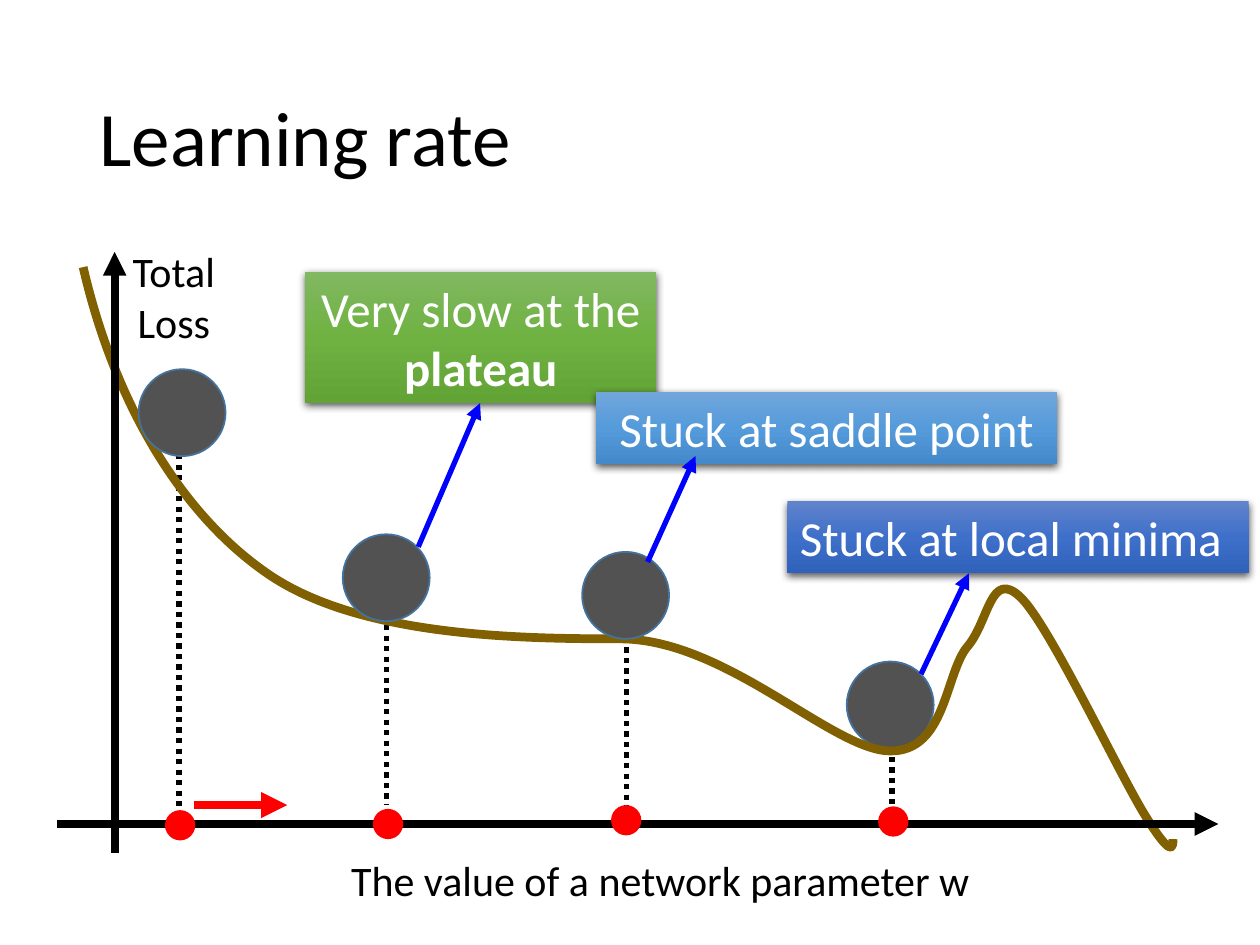
from lxml import etree
from copy import deepcopy
from pptx import Presentation
from pptx.dml.color import RGBColor
from pptx.enum.dml import MSO_LINE
from pptx.enum.shapes import MSO_CONNECTOR, MSO_SHAPE
from pptx.enum.text import MSO_ANCHOR, PP_ALIGN
from pptx.oxml import parse_xml
from pptx.oxml.ns import nsdecls, qn
from pptx.util import Inches, Pt

BLACK = RGBColor(0x00, 0x00, 0x00)
WHITE = RGBColor(0xFF, 0xFF, 0xFF)
RED = RGBColor(0xFF, 0x00, 0x00)
BLUE = RGBColor(0x00, 0x00, 0xFF)
BROWN = RGBColor(0x80, 0x60, 0x00)
GRAY = RGBColor(0x52, 0x52, 0x52)
BALL_EDGE = RGBColor(0x43, 0x73, 0x9E)
GREENS = [RGBColor(0x81, 0xB8, 0x61), RGBColor(0x6F, 0xB2, 0x42), RGBColor(0x62, 0xA3, 0x36)]
NAVYS = [RGBColor(0x61, 0x83, 0xCB), RGBColor(0x3E, 0x70, 0xCA), RGBColor(0x30, 0x62, 0xBB)]
SKIES = [RGBColor(0x71, 0xA6, 0xDB), RGBColor(0x55, 0x9B, 0xDB), RGBColor(0x44, 0x8A, 0xCA)]
FONT = "Calibri"

prs = Presentation()
prs.slide_width, prs.slide_height = Inches(10), Inches(7.5)
s = prs.slides.add_slide(prs.slide_layouts[5])


def add_line(x1, y1, x2, y2, color, width, arrow=True):
    """Straight arrow, or a dotted line when arrow is False."""
    c = s.shapes.add_connector(MSO_CONNECTOR.STRAIGHT, Inches(x1), Inches(y1), Inches(x2), Inches(y2))
    c.line.color.rgb = color
    c.line.width = Pt(width)
    if arrow:
        ln = c._element.spPr.find(qn("a:ln"))
        etree.SubElement(ln, qn("a:tailEnd"), type="triangle")
    else:
        c.line.dash_style = MSO_LINE.ROUND_DOT
    etree.SubElement(c._element.spPr, qn("a:effectLst"))


def add_circle(x, y, size, color, edge=None):
    sp = s.shapes.add_shape(MSO_SHAPE.OVAL, Inches(x), Inches(y), Inches(size), Inches(size))
    sp.shadow.inherit = False
    sp.fill.solid()
    sp.fill.fore_color.rgb = color
    if edge:
        sp.line.color.rgb = edge
        sp.line.width = Pt(1)
    else:
        sp.line.fill.background()


# Title
title = s.shapes.title
title.left, title.top, title.width, title.height = Inches(0.69), Inches(0.4), Inches(8.62), Inches(1.45)
title.text_frame.text = "Learning rate"
title.text_frame.vertical_anchor = MSO_ANCHOR.MIDDLE
p = title.text_frame.paragraphs[0]
p.alignment = PP_ALIGN.LEFT
p.line_spacing = 0.9
p.font.size, p.font.name, p.font.color.rgb = Pt(44), FONT, BLACK

# Dotted drop lines, and the ball that lies behind the curve
for x, top, bottom in [(7.08, 5.59, 6.39), (4.97, 4.47, 6.4), (3.07, 4.46, 6.39), (1.42, 3.27, 6.42)]:
    add_line(x, top, x, bottom, BLACK, 3, arrow=False)
add_circle(6.72, 5.25, 0.69, GRAY, BALL_EDGE)

# Loss curve: each row holds two control points and the end of a cubic segment
curve_points = [
    (0.9, 3.16), (1.41, 4.06), (2.12, 4.55),
    (2.84, 5.05), (4.09, 5.07), (4.92, 5.07),
    (5.76, 5.07), (6.6, 5.95), (7.06, 5.96),
    (7.51, 5.97), (7.5, 5.34), (7.68, 5.13),
    (7.85, 4.93), (7.86, 4.51), (8.1, 4.74),
    (8.33, 4.96), (8.89, 6.16), (9.1, 6.49),
    (9.3, 6.81), (9.31, 6.73), (9.31, 6.66),
]
builder = s.shapes.build_freeform(Inches(0.66), Inches(2.12))
builder.add_line_segments([(Inches(x), Inches(y)) for x, y in curve_points], close=False)
curve = builder.convert_to_shape()
curve.shadow.inherit = False
curve.fill.background()
curve.line.color.rgb = BROWN
curve.line.width = Pt(5)

# Join every three straight steps into one cubic segment
steps = list(curve._element.iter(qn("a:lnTo")))
for i in range(0, len(steps), 3):
    first, *others = steps[i:i + 3]
    first.tag = qn("a:cubicBezTo")
    for step in others:
        first.append(step[0])
        step.getparent().remove(step)

# Balls on the curve
for x, y in [(4.62, 4.38), (1.1, 2.93), (2.72, 4.24)]:
    add_circle(x, y, 0.69, GRAY, BALL_EDGE)

# Axes and step arrow
add_line(0.45, 6.54, 9.67, 6.54, BLACK, 4.5)
add_line(0.91, 6.77, 0.91, 2, BLACK, 4.5)
add_line(1.54, 6.39, 2.28, 6.39, RED, 5)

# Axis labels
for x, y, w, h, lines in [
    (0.85, 1.9, 1.06, 0.91, ["Total", "Loss"]),
    (2.4, 6.73, 5.68, 0.5, ["The value of a network parameter w"]),
]:
    tf = s.shapes.add_textbox(Inches(x), Inches(y), Inches(w), Inches(h)).text_frame
    tf.word_wrap = True
    tf.text = "\n".join(lines)
    for p in tf.paragraphs:
        p.alignment = PP_ALIGN.CENTER
        p.font.size, p.font.name, p.font.color.rgb = Pt(24), FONT, BLACK

# Callout boxes: vertical gradient, soft shadow below
for x, y, w, h, colors, align, runs in [
    (2.42, 2.16, 2.79, 1.04, GREENS, PP_ALIGN.CENTER, [("Very slow at the ", False), ("plateau", True)]),
    (6.25, 3.98, 3.66, 0.57, NAVYS, PP_ALIGN.LEFT, [("Stuck at local minima", False)]),
    (4.73, 3.11, 3.66, 0.57, SKIES, PP_ALIGN.CENTER, [("Stuck at saddle point", False)]),
]:
    sp = s.shapes.add_shape(MSO_SHAPE.RECTANGLE, Inches(x), Inches(y), Inches(w), Inches(h))
    sp.line.fill.background()
    sp.fill.gradient()
    sp.fill.gradient_angle = 270
    stop_list = sp._element.spPr.find(qn("a:gradFill")).find(qn("a:gsLst"))
    stop_list.insert(1, deepcopy(stop_list[0]))
    for stop, position, color in zip(sp.fill.gradient_stops, (0, 0.5, 1), colors):
        stop.position = position
        stop.color.rgb = color
    sp.shadow.inherit = False
    sp._element.spPr.find(qn("a:effectLst")).append(parse_xml(
        f'<a:outerShdw {nsdecls("a")} blurRad="{Pt(4.5)}" dist="{Pt(1.5)}" dir="5400000" algn="ctr" '
        'rotWithShape="0"><a:srgbClr val="000000"><a:alpha val="63000"/></a:srgbClr></a:outerShdw>'))
    tf = sp.text_frame
    tf.word_wrap = True
    p = tf.paragraphs[0]
    p.alignment = align
    p.font.size, p.font.name, p.font.color.rgb = Pt(28), FONT, WHITE
    for text, bold in runs:
        r = p.add_run()
        r.text = text
        r.font.bold = bold

# Arrows from the balls to the callouts
for ends in [(7.31, 5.35, 7.69, 4.55), (5.14, 4.46, 5.52, 3.62), (3.32, 4.34, 3.81, 3.2)]:
    add_line(*ends, BLUE, 3)

# Parameter values on the axis
for x, y in [(1.31, 6.43), (2.96, 6.42), (4.85, 6.39), (6.97, 6.4)]:
    add_circle(x, y, 0.24, RED)

prs.save("out.pptx")
